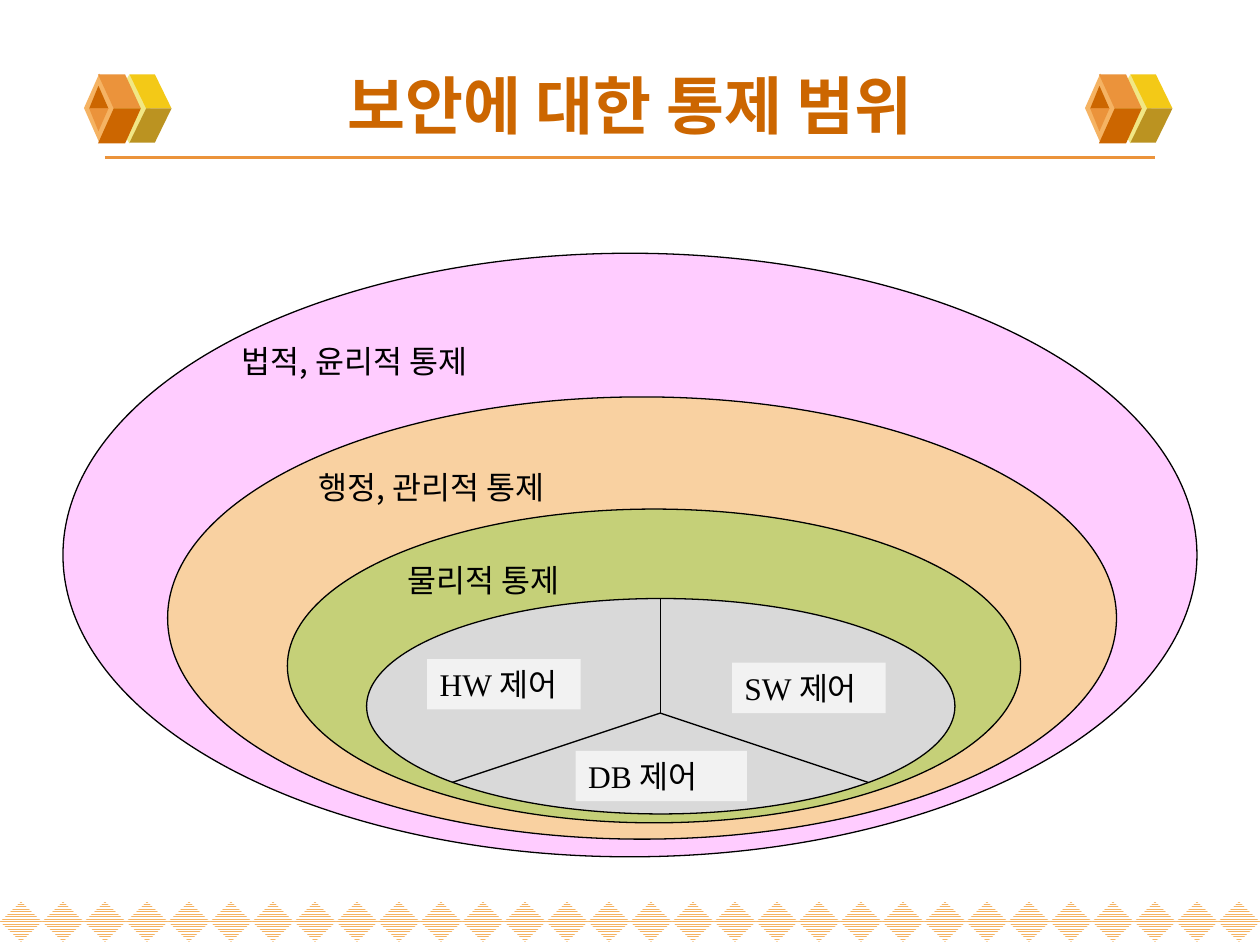
from dataclasses import dataclass

from lxml import etree
from pptx import Presentation
from pptx import util as u
from pptx.dml.color import RGBColor
from pptx.enum import dml, shapes, text
from pptx.oxml.ns import qn


@dataclass(frozen=True)
class Theme:
    latin: str = "Times New Roman"
    korean: str = "Noto Sans CJK KR"
    title_size: float = 36
    label_size: float = 18
    ink: str = "000000"
    paper: str = "FFFFFF"
    title: str = "CC6600"
    rule: str = "EB933B"
    amber: str = "F5B363"
    cream: str = "F1E785"
    yellow: str = "F3C917"
    olive: str = "BB9321"
    legal: str = "FFCCFF"
    administrative: str = "F9D1A1"
    physical: str = "92D050"
    core: str = "D9D9D9"
    label: str = "F2F2F2"


@dataclass(frozen=True)
class Box:
    left: float
    top: float
    width: float
    height: float


@dataclass(frozen=True)
class Scope:
    """One nested ellipse of control; opacity is in percent."""
    box: Box
    fill: str
    label: str = ""
    top_inset: float = 3.6
    opacity: int = 100


@dataclass(frozen=True)
class Facet:
    points: tuple[tuple[float, float], ...]
    fill: str


THEME = Theme()
SHAPE = shapes.MSO_SHAPE

SCOPES = (
    Scope(Box(36, 144.7, 648, 344.9), THEME.legal, "법적, 윤리적 통제", top_inset=0),
    Scope(Box(95.8, 226.8, 542.2, 252.7), THEME.administrative, "행정, 관리적 통제"),
    Scope(Box(164.2, 290.9, 419, 179.3), THEME.physical, "물리적 통제", opacity=50),
    Scope(Box(209.5, 342, 336.2, 123.1), THEME.core),
)
CORE_CENTER = (377.3, 407.5)
CORE_EDGES = ((377.3, 342), (258.5, 447.1), (496.1, 447.1))
CORE_LABELS = (
    ("HW 제어", Box(244.1, 376.6, 87.8, 28.8)),
    ("SW 제어", Box(418.3, 378.7, 87.8, 28.8)),
    ("DB 제어", Box(329, 429.1, 97.9, 28.8)),
)

CUBE_TOP = 42
CUBE_LEFTS = (48, 620)
BACK_FACETS = (
    Facet(((35.5, 20), (50, 20), (40.5, 0.5), (26, 0.5)), THEME.yellow),
    Facet(((35.5, 20), (50, 20), (40.5, 39.5), (26, 39.5)), THEME.olive),
)
FRONT_FACETS = (
    Facet(((17, 20), (32.5, 20), (23.5, 0.5), (8, 0.5)), THEME.rule),
    Facet(((17, 20), (32.5, 20), (23.5, 40), (8, 40)), THEME.title),
    Facet(((8.3, 7), (3, 20), (14, 20)), THEME.title),
    Facet(((8.3, 33), (3, 20), (14, 20)), THEME.rule),
)


def color(value: str) -> RGBColor:
    return RGBColor.from_string(value)


def paint(shape, fill: str) -> None:
    shape.shadow.inherit = False
    shape.fill.solid()
    shape.fill.fore_color.rgb = color(fill)
    shape.line.fill.background()


def add_box(slide, kind, box: Box, fill: str):
    shape = slide.shapes.add_shape(
        kind, u.Pt(box.left), u.Pt(box.top), u.Pt(box.width), u.Pt(box.height))
    paint(shape, fill)
    return shape


def outline(shape, value: str, width: float) -> None:
    shape.line.color.rgb = color(value)
    shape.line.width = u.Pt(width)


def add_line(slide, start: tuple, end: tuple, value: str, width: float) -> None:
    line = slide.shapes.add_connector(
        shapes.MSO_CONNECTOR.STRAIGHT, *(u.Pt(n) for n in start + end))
    outline(line, value, width)
    etree.SubElement(line._element.spPr, qn("a:effectLst"))


def write(shape, words: str, latin: str, size: float, value: str,
          align=text.PP_ALIGN.LEFT, anchor=text.MSO_ANCHOR.TOP, bold: bool = False) -> None:
    frame = shape.text_frame
    frame.text = words
    frame.word_wrap = True
    frame.vertical_anchor = anchor
    paragraph = frame.paragraphs[0]
    paragraph.alignment = align
    font = paragraph.font
    font.name, font.size, font.bold = latin, u.Pt(size), bold
    font.color.rgb = color(value)
    east_asian = etree.Element(qn("a:ea"), typeface=THEME.korean)
    font._element.find(qn("a:latin")).addnext(east_asian)


def add_title(slide) -> None:
    title = slide.shapes.title
    title.left, title.top = u.Pt(36), u.Pt(28.8)
    title.width, title.height = u.Pt(648), u.Pt(61.2)
    write(title, "보안에 대한 통제 범위", THEME.latin, THEME.title_size, THEME.title,
          text.PP_ALIGN.CENTER, text.MSO_ANCHOR.MIDDLE, bold=True)
    title.text_frame.auto_size = text.MSO_AUTO_SIZE.NONE


def add_diamond_border(slide, count: int = 30) -> None:
    width = 720 / count
    for column in range(count):
        diamond = add_box(slide, SHAPE.DIAMOND, Box(column * width, 515.2, width, 23), THEME.amber)
        diamond.fill.patterned()
        diamond.fill.pattern = dml.MSO_PATTERN.NARROW_HORIZONTAL
        diamond.fill.fore_color.rgb = color(THEME.amber)
        diamond.fill.back_color.rgb = color(THEME.paper)


def add_facets(slide, left: float, facets: tuple[Facet, ...]) -> None:
    for facet in facets:
        points = [(u.Pt(left + x), u.Pt(CUBE_TOP + y)) for x, y in facet.points]
        builder = slide.shapes.build_freeform(*points[0])
        builder.add_line_segments(points[1:], close=True)
        paint(builder.convert_to_shape(), facet.fill)


def add_cube(slide, left: float) -> None:
    add_box(slide, SHAPE.DIAMOND, Box(left + 14, CUBE_TOP + 0.5, 24, 39.5), THEME.cream)
    add_facets(slide, left, BACK_FACETS)
    add_box(slide, SHAPE.DIAMOND, Box(left, CUBE_TOP, 17.5, 39.5), THEME.amber)
    add_facets(slide, left, FRONT_FACETS)


def add_scope(slide, scope: Scope) -> None:
    ellipse = add_box(slide, SHAPE.OVAL, scope.box, scope.fill)
    outline(ellipse, THEME.ink, 0.75)
    if scope.opacity < 100:
        fill = ellipse._element.spPr.find(qn("a:solidFill"))
        etree.SubElement(fill[0], qn("a:alpha"), val=str(scope.opacity * 1000))
    if scope.label:
        write(ellipse, scope.label, THEME.korean, THEME.label_size, THEME.ink)
        ellipse.text_frame.margin_top = u.Pt(scope.top_inset)


def main() -> None:
    presentation = Presentation()
    presentation.slide_width, presentation.slide_height = u.Pt(720), u.Pt(540)
    slide = presentation.slides.add_slide(presentation.slide_layouts[5])
    add_diamond_border(slide)
    add_line(slide, (60, 90), (660, 90), THEME.rule, 2.25)
    for left in CUBE_LEFTS:
        add_cube(slide, left)
    add_title(slide)
    for scope in SCOPES:
        add_scope(slide, scope)
    for edge in CORE_EDGES:
        add_line(slide, CORE_CENTER, edge, THEME.ink, 0.75)
    for words, box in CORE_LABELS:
        label = add_box(slide, SHAPE.RECTANGLE, box, THEME.label)
        write(label, words, THEME.latin, THEME.label_size, THEME.ink)
        label.text_frame.auto_size = text.MSO_AUTO_SIZE.SHAPE_TO_FIT_TEXT
    presentation.save("out.pptx")


if __name__ == "__main__":
    main()
